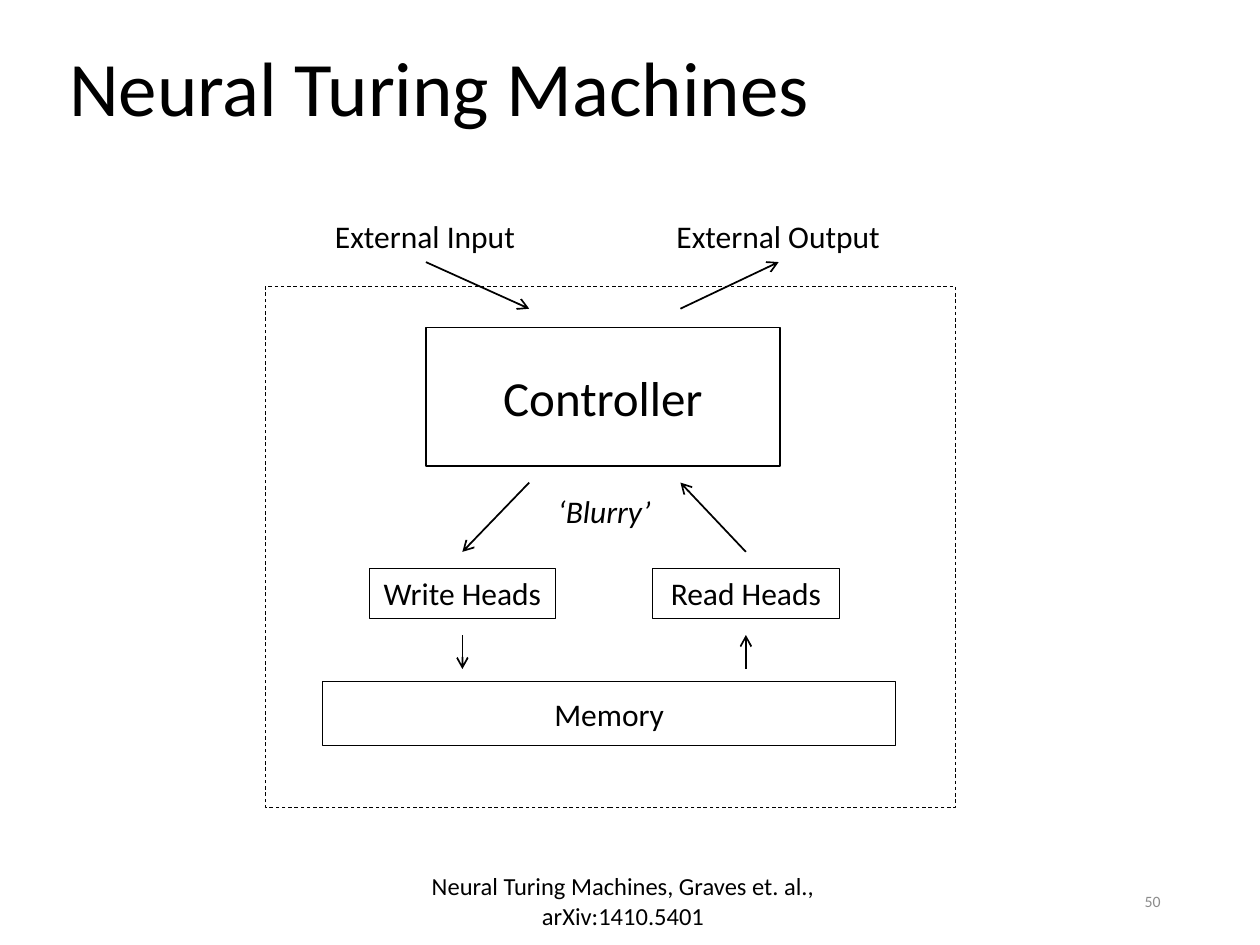
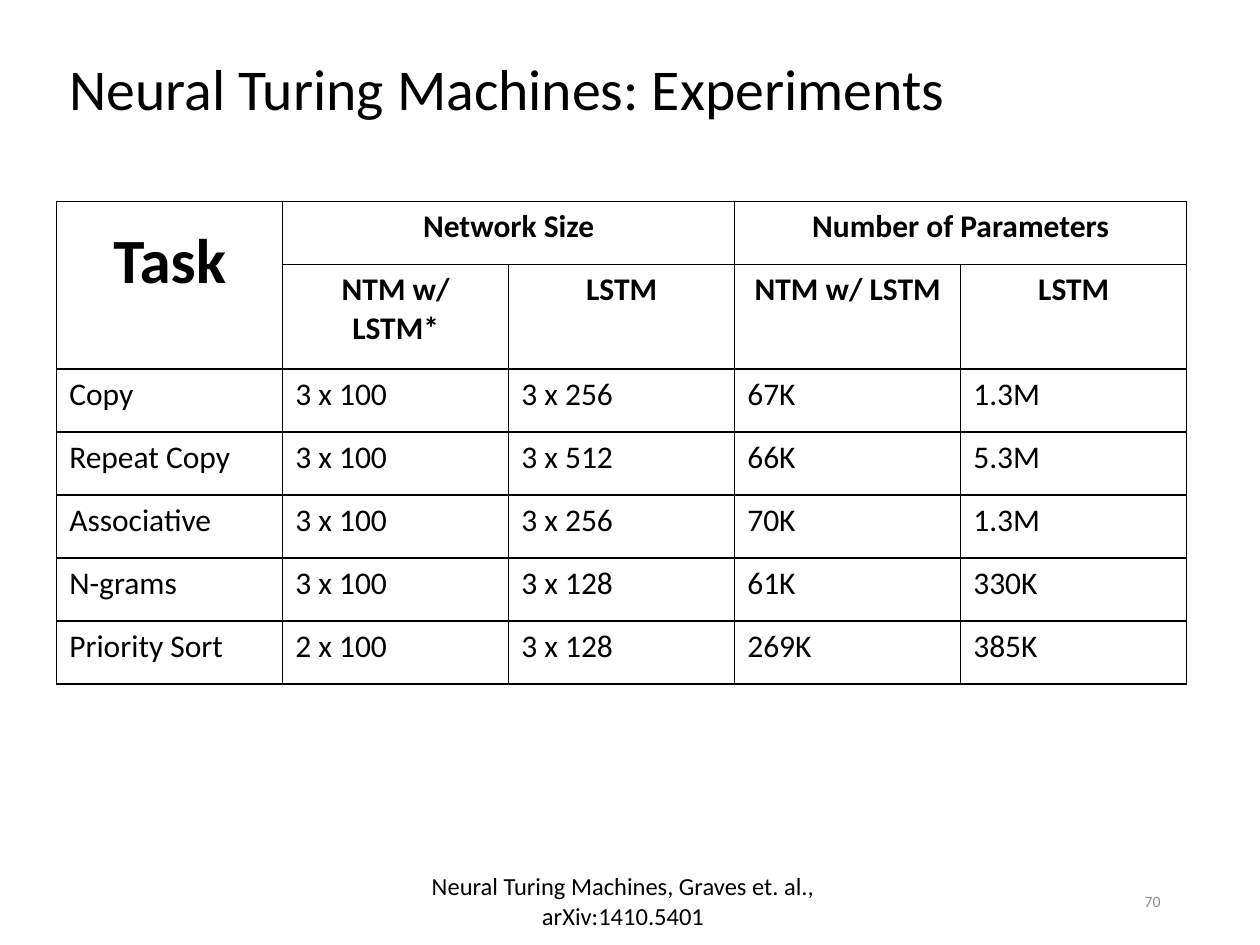
from lxml import etree
from pptx import Presentation
from pptx.dml.color import RGBColor
from pptx.enum.dml import MSO_LINE
from pptx.enum.shapes import MSO_CONNECTOR, MSO_SHAPE
from pptx.enum.text import MSO_ANCHOR, PP_ALIGN
from pptx.oxml.ns import qn
from pptx.util import Pt

PX = 9144  # 100 px to the inch
FONT = "Calibri"
COLORS = {"ink": "000000", "number": "8C8C8C"}
LEFT, CENTER, RIGHT = PP_ALIGN.LEFT, PP_ALIGN.CENTER, PP_ALIGN.RIGHT
TOP, MIDDLE = MSO_ANCHOR.TOP, MSO_ANCHOR.MIDDLE
RECT, STRAIGHT, DASH = MSO_SHAPE.RECTANGLE, MSO_CONNECTOR.STRAIGHT, MSO_LINE.DASH
INK = RGBColor.from_string(COLORS["ink"])


def px(*lengths):
    return [n * PX for n in lengths]


def write(tf, text, size, align=LEFT, anchor=TOP, wrap=True, color="ink", spacing=None, **font):
    tf.word_wrap = wrap
    tf.vertical_anchor = anchor
    p = tf.paragraphs[0]
    p.alignment = align
    p.line_spacing = spacing
    r = p.add_run()
    r.text = text
    r.font.color.rgb = RGBColor.from_string(COLORS[color])
    for name, value in {"name": FONT, "size": Pt(size), **font}.items():
        setattr(r.font, name, value)


prs = Presentation()
prs.slide_width, prs.slide_height = px(1000, 750)

# Title, citation and number on every slide
slides = []
for title, size, number in [
    ("Neural Turing Machines", 44, "50"),
    ("Neural Turing Machines: Experiments", 33, "70"),
]:
    s = prs.slides.add_slide(prs.slide_layouts[5])
    sp = s.shapes.title
    sp.left, sp.top, sp.width, sp.height = px(45, 0, 897, 145)
    write(sp.text_frame, title, size, anchor=MIDDLE, spacing=0.9)
    sp = s.shapes.add_textbox(*px(706, 695, 225, 40))
    write(sp.text_frame, number, 9, RIGHT, MIDDLE, color="number")
    sp = s.shapes.add_textbox(*px(319, 698, 351, 34))
    write(sp.text_frame, "Neural Turing Machines, Graves et. al., arXiv:1410.5401", 14, CENTER, MIDDLE)
    slides.append(s)
diagram, experiments = slides

# Diagram boxes
for text, size, box, weight, dash in [
    ("Controller", 28, (338, 260, 281, 110), 1, None),
    ("Write Heads", 18, (293, 451, 148, 40), 0.5, None),
    ("Read Heads", 18, (518, 451, 148, 40), 0.5, None),
    ("Memory", 18, (256, 541, 455, 51), 0.5, None),
    ("", 18, (211, 227, 547, 414), 0.5, DASH),
]:
    sp = diagram.shapes.add_shape(RECT, *px(*box))
    sp.shadow.inherit = False
    sp.fill.background()
    sp.line.color.rgb = INK
    sp.line.width = Pt(weight)
    sp.line.dash_style = dash
    if text:
        write(sp.text_frame, text, size, CENTER, MIDDLE)

# Diagram labels
for text, box, italic in [
    ("External Input", (256, 167, 165, 40), False),
    ("External Output", (527, 167, 184, 40), False),
    ("‘Blurry’", (433, 386, 100, 40), True),
]:
    sp = diagram.shapes.add_textbox(*px(*box))
    write(sp.text_frame, text, 18, wrap=False, italic=italic)

# Arrows, from start to tip
for arrow in [
    (338, 208, 420, 245),
    (540, 245, 618, 208),
    (420, 383, 367, 438),
    (592, 438, 540, 383),
    (367, 504, 367, 531),
    (592, 531, 592, 504),
]:
    line = diagram.shapes.add_connector(STRAIGHT, *px(*arrow))
    line.line.color.rgb = INK
    line.line.width = Pt(1)
    etree.SubElement(line.line._get_or_add_ln(), qn("a:tailEnd"), type="arrow")
    etree.SubElement(line._element.spPr, qn("a:effectLst"))

# Experiments table
rows = [
    ["Task", "Network Size", "", "Number of Parameters", ""],
    ["", "NTM w/ LSTM*", "LSTM", "NTM w/ LSTM", "LSTM"],
    ["Copy", "3 x 100", "3 x 256", "67K", "1.3M"],
    ["Repeat Copy", "3 x 100", "3 x 512", "66K", "5.3M"],
    ["Associative", "3 x 100", "3 x 256", "70K", "1.3M"],
    ["N-grams", "3 x 100", "3 x 128", "61K", "330K"],
    ["Priority Sort", "2 x 100", "3 x 128", "269K", "385K"],
]
heights = [50, 83] + [50] * 5
table = experiments.shapes.add_table(len(rows), 5, *px(45, 160, 897, sum(heights))).table
table.first_row = table.horz_banding = False
for r, (row, height) in enumerate(zip(rows, heights)):
    table.rows[r].height = height * PX
    for c, text in enumerate(row):
        cell = table.cell(r, c)
        header = r < 2
        if text:
            size, spacing = (36, 1.2) if text == "Task" else (18, None)
            write(cell.text_frame, text, size, CENTER if header else LEFT, spacing=spacing, bold=header)
        tcPr = cell._tc.get_or_add_tcPr()
        for side in ("lnL", "lnR", "lnT", "lnB"):
            ln = etree.SubElement(tcPr, qn(f"a:{side}"), w=str(Pt(1)))
            fill = etree.SubElement(ln, qn("a:solidFill"))
            etree.SubElement(fill, qn("a:srgbClr"), val=COLORS["ink"])
        cell.fill.background()
for first, last in [((0, 0), (1, 0)), ((0, 1), (0, 2)), ((0, 3), (0, 4))]:
    table.cell(*first).merge(table.cell(*last))

prs.save("out.pptx")
